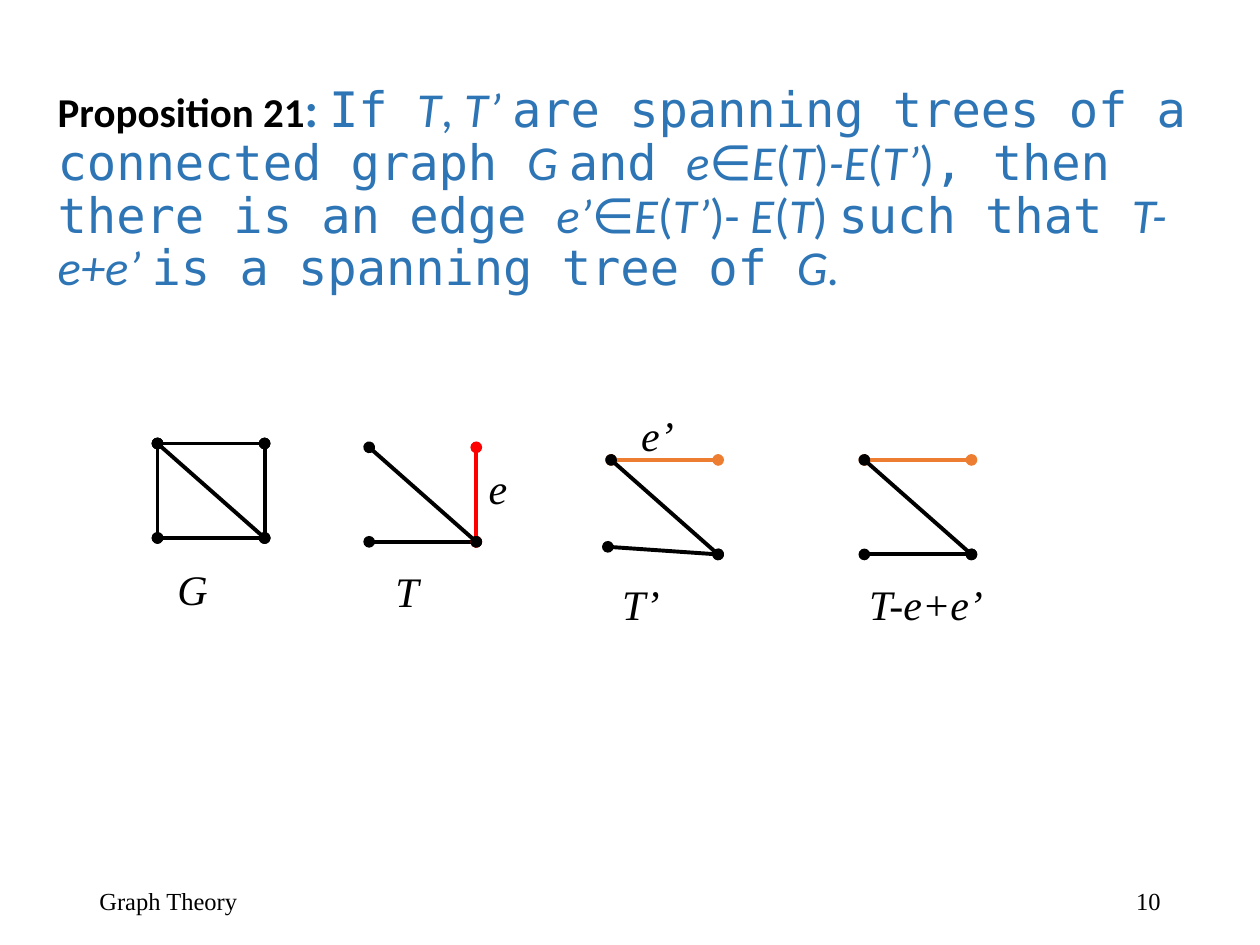
from lxml.etree import SubElement
from pptx import Presentation
from pptx.dml.color import RGBColor
from pptx.enum.shapes import MSO_CONNECTOR
from pptx.enum.text import MSO_ANCHOR, PP_ALIGN
from pptx.oxml.ns import qn
from pptx.util import Inches, Pt

BLACK = RGBColor(0x00, 0x00, 0x00)
BLUE = RGBColor(0x2E, 0x75, 0xB6)
RED = RGBColor(0xFF, 0x00, 0x00)
ORANGE = RGBColor(0xED, 0x7D, 0x31)
SERIF, SANS, MONO = "Times New Roman", "Calibri", "DejaVu Sans Mono"

STYLES = {
    "heading": dict(font=SANS, size=23.4, color=BLACK, bold=True),
    "colon": dict(font=SANS, size=27.9, color=BLUE, bold=True),
    "words": dict(font=MONO, size=27.9, color=BLUE),
    "math": dict(font=SANS, size=27.9, color=BLUE, italic=True),
    "sign": dict(font=SANS, size=27.9, color=BLUE),
}
PROPOSITION = [
    ("heading", "Proposition 21"), ("colon", ": "), ("words", "If "),
    ("math", "T"), ("sign", ", "), ("math", "T’ "),
    ("words", "are spanning trees of a connected graph "),
    ("math", "G "), ("words", "and "),
    ("math", "e"), ("sign", "∈"), ("math", "E"), ("sign", "("),
    ("math", "T"), ("sign", ")"), ("math", "-E"), ("sign", "("),
    ("math", "T’"), ("sign", ")"),
    ("words", ", then there is an edge "),
    ("math", "e’"), ("sign", "∈"), ("math", "E"), ("sign", "("),
    ("math", "T’"), ("sign", ")- "), ("math", "E"), ("sign", "("),
    ("math", "T"), ("sign", ") "), ("words", "such that "),
    ("math", "T-e+e’ "), ("words", "is a spanning tree of "), ("math", "G."),
]

# Vertices of each graph are the corners of a square, as (column, row)
SIDE_X, SIDE_Y = 0.85, 0.75
A, B, C, D = (0, 0), (1, 0), (0, 1), (1, 1)
LOW_LEFT = (-0.03, 0.92)  # vertex of T’ that sits off the square
GRAPHS = [  # left, top, edges
    (1.25, 3.52, [(A, B, BLACK), (A, C, BLACK), (C, D, BLACK),
                  (B, D, BLACK), (A, D, BLACK)]),
    (2.93, 3.55, [(C, D, BLACK), (B, D, RED), (A, D, BLACK)]),
    (4.85, 3.65, [(A, B, ORANGE), (D, LOW_LEFT, BLACK), (A, D, BLACK)]),
    (6.86, 3.65, [(A, B, ORANGE), (C, D, BLACK), (A, D, BLACK)]),
]
LABELS = [  # text, left, top, width
    ("T’", 4.84, 4.54, 0.77), ("T", 3.04, 4.44, 0.77),
    ("T-e+e’", 6.8, 4.54, 1.32), ("e", 3.78, 3.62, 0.34),
    ("e’", 4.99, 3.2, 0.59), ("G", 1.31, 4.42, 0.77),
]
FOOTERS = [("Graph Theory", 0.69, PP_ALIGN.LEFT), ("10", 7.06, PP_ALIGN.RIGHT)]


def add_run(paragraph, text, font=SERIF, size=24, color=BLACK, bold=False, italic=False):
    run = paragraph.add_run()
    run.text = text
    run.font.name, run.font.size = font, Pt(size)
    run.font.bold, run.font.italic = bold, italic
    run.font.color.rgb = color


def add_text(slide, text, left, top, width, height, align=PP_ALIGN.LEFT,
             anchor=MSO_ANCHOR.TOP, spacing=None, **style):
    """Add a text box; text is a string or a list of (style name, string)."""
    box = slide.shapes.add_textbox(*map(Inches, (left, top, width, height)))
    frame = box.text_frame
    frame.word_wrap = True
    frame.vertical_anchor = anchor
    paragraph = frame.paragraphs[0]
    paragraph.alignment = align
    paragraph.line_spacing = spacing
    if isinstance(text, str):
        add_run(paragraph, text, **style)
    else:
        for name, part in text:
            add_run(paragraph, part, **STYLES[name])


def add_edge(slide, start, end, color):
    """Add a line whose round ends are the vertices."""
    edge = slide.shapes.add_connector(
        MSO_CONNECTOR.STRAIGHT, *map(Inches, (*start, *end)))
    edge.line.width = Pt(2.25)
    edge.line.color.rgb = color
    line = edge.line._get_or_add_ln()
    for tag in ("a:headEnd", "a:tailEnd"):
        SubElement(line, qn(tag), type="oval")
    SubElement(edge._element.spPr, qn("a:effectLst"))


def main():
    prs = Presentation()
    prs.slide_width, prs.slide_height = Inches(10), Inches(7.5)
    slide = prs.slides.add_slide(prs.slide_layouts[6])

    for text, left, align in FOOTERS:
        add_text(slide, text, left, 6.95, 2.25, 0.4, align=align,
                 anchor=MSO_ANCHOR.MIDDLE, size=14)
    add_text(slide, PROPOSITION, 0.36, 0.67, 9.36, 1.69,
             anchor=MSO_ANCHOR.MIDDLE, spacing=0.9)

    for left, top, edges in GRAPHS:
        for *ends, color in edges:
            start, end = [(left + x * SIDE_X, top + y * SIDE_Y) for x, y in ends]
            add_edge(slide, start, end, color)
    for text, left, top, width in LABELS:
        add_text(slide, text, left, top, width, 0.5, italic=True)

    prs.save("out.pptx")


if __name__ == "__main__":
    main()
